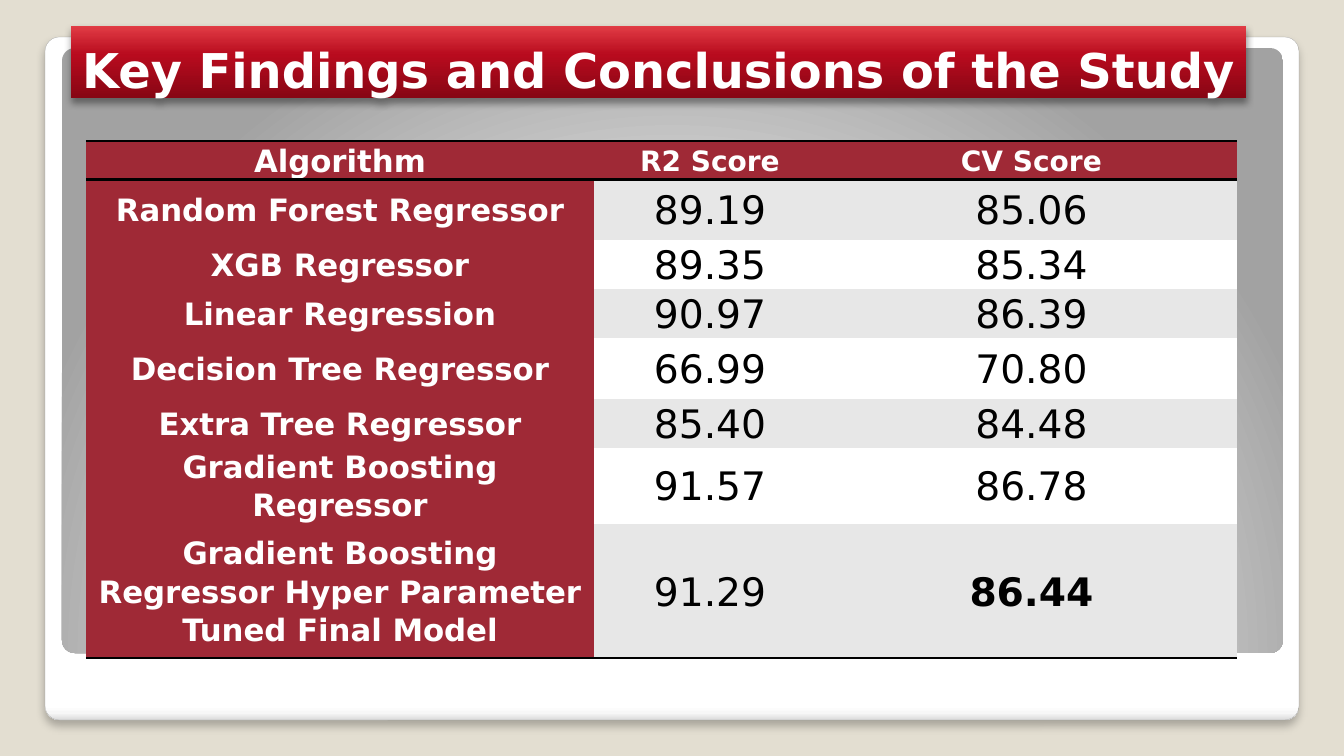
from lxml import etree
from pptx import Presentation
from pptx import util as u
from pptx.dml.color import RGBColor
from pptx.enum import shapes, text
from pptx.oxml.ns import qn

PX = 914400 / 100.8
FONT = "DejaVu Sans"
HUES = {
    "back": "E3DED1", "white": "FFFFFF", "black": "000000",
    "red": "9F2936", "band": "E7E7E7", "edge": "A4A4A4",
}
COLS = [508, 232, 411]
ROWS = [
    (36, "Algorithm", "R2 Score", "CV Score"),
    (61, "Random Forest Regressor", "89.19", "85.06"),
    (45, "XGB Regressor", "89.35", "85.34"),
    (45, "Linear Regression", "90.97", "86.39"),
    (61, "Decision Tree Regressor", "66.99", "70.80"),
    (45, "Extra Tree Regressor", "85.40", "84.48"),
    (45, "Gradient Boosting Regressor", "91.57", "86.78"),
    (134, "Gradient Boosting Regressor Hyper Parameter Tuned Final Model",
     "91.29", "86.44"),
]


def px(num):
    return u.Emu(round(num * PX))


def hue(name):
    return RGBColor.from_string(HUES[name])


def sub(node, tag, **attrs):
    """Add a drawing element below node."""
    return etree.SubElement(node, qn("a:" + tag),
                            {key: str(val) for key, val in attrs.items()})


def write(frame, words, size, color="white", bold=True, line=1.0, after=0):
    para = frame.paragraphs[0]
    para.alignment = text.PP_ALIGN.CENTER
    para.line_spacing = line
    para.space_before, para.space_after = u.Pt(0), u.Pt(after)
    run = para.add_run()
    run.text = words
    font = run.font
    font.name, font.size, font.bold = FONT, u.Pt(size), bold
    font.color.rgb = hue(color)


def blend(shape, stops, angle=None, focus=None):
    """Fill with a linear gradient at an angle, or a circular one at a focus."""
    shape.fill.gradient()
    grad = shape.element.spPr.find(qn("a:gradFill"))
    for child in list(grad):
        grad.remove(child)
    marks = sub(grad, "gsLst")
    for place, color in stops:
        sub(sub(marks, "gs", pos=place * 1000), "srgbClr", val=color)
    if focus:
        route = sub(grad, "path", path="circle")
        sub(route, "fillToRect",
            **{side: num * 1000 for side, num in zip("ltrb", focus)})
    else:
        sub(grad, "lin", ang=angle * 60000, scaled=0)


def shade(shape, alpha, blur, dist):
    """Drop a black shadow straight down."""
    shape.shadow.inherit = False
    glow = sub(shape.element.spPr.find(qn("a:effectLst")), "outerShdw",
               blurRad=u.Pt(blur), dist=u.Pt(dist), dir=90 * 60000,
               algn="ctr", rotWithShape=0)
    sub(sub(glow, "srgbClr", val=HUES["black"]), "alpha", val=alpha * 1000)


def panel(slide, left, top, wide, high):
    card = slide.shapes.add_shape(shapes.MSO_SHAPE.ROUNDED_RECTANGLE,
                                  px(left), px(top), px(wide), px(high))
    card.adjustments[0] = 0.021
    card.shadow.inherit = False
    card.line.fill.background()
    slide.shapes.title.element.addprevious(card.element)
    return card


def frame(slide, left, top, wide, high):
    """Draw the white card and the grey panel set into it."""
    card = panel(slide, left, top, wide, high)
    blend(card, [(0, "FFFFFF"), (98, "FFFFFF"), (99, "F7F7F7"),
                 (100, "DADADA")], angle=90)
    card.line.color.rgb = hue("edge")
    card.line.width = u.Pt(0.16)
    shade(card, 25, 6, 4)
    inner = panel(slide, left + 17, top + 11, wide - 33, high - 78)
    blend(inner, [(0, "FFFFFF"), (55, "E1E1E1"), (100, "A2A2A2")],
          focus=(50, 175, 50, -75))


def banner(slide, left, top, wide, high):
    title = slide.shapes.title
    title.left, title.top = px(left), px(top)
    title.width, title.height = px(wide), px(high)
    blend(title, [(0, "870614"), (60, "B80B1E"), (100, "E13C45")], angle=270)
    shade(title, 40, 5.2, 3)
    body = title.text_frame
    body.auto_size = text.MSO_AUTO_SIZE.NONE
    body.word_wrap = False
    body.vertical_anchor = text.MSO_ANCHOR.BOTTOM
    body.margin_left = body.margin_right = px(10)
    body.margin_top, body.margin_bottom = px(5), 0
    write(body, "Key Findings and Conclusions of the Study", 34.2)


def rule(cell, sides):
    for side in sides:
        line = sub(cell._tc.get_or_add_tcPr(), "ln" + side, w=u.Pt(2))
        sub(sub(line, "solidFill"), "srgbClr", val=HUES["black"])


def scores(slide, left, top):
    high = sum(row[0] for row in ROWS)
    grid = slide.shapes.add_table(len(ROWS), len(COLS), px(left), px(top),
                                  px(sum(COLS)), px(high)).table
    # Built-in table style without fills or grid lines
    style = grid._tbl.tblPr.find(qn("a:tableStyleId"))
    style.text = "{2D5ABB26-0587-4C30-8999-92F81FD0307C}"
    grid.horz_banding = False
    for col, wide in zip(grid.columns, COLS):
        col.width = px(wide)
    last = len(ROWS) - 1
    for i, (tall, *words) in enumerate(ROWS):
        grid.rows[i].height = px(tall)
        for j, word in enumerate(words):
            cell = grid.cell(i, j)
            head = i == 0 or j == 0
            final = i == last and j == 2
            rule(cell, "TB" if i == 0 else "B" if i == last else "")
            cell.fill.solid()
            cell.fill.fore_color.rgb = hue(
                "red" if head else "band" if i % 2 else "white")
            cell.vertical_anchor = text.MSO_ANCHOR.MIDDLE
            cell.margin_left = cell.margin_right = px(7)
            cell.margin_top = cell.margin_bottom = 0
            size = 22 if j == 0 else 20 if i == 0 else 28
            write(cell.text_frame, word, size, "white" if head else "black",
                  bold=head or final, line=1.07, after=8)


def main():
    deck = Presentation()
    deck.slide_width, deck.slide_height = px(1344), px(756)
    slide = deck.slides.add_slide(deck.slide_layouts[5])
    slide.background.fill.solid()
    slide.background.fill.fore_color.rgb = hue("back")
    frame(slide, 45, 37, 1254, 683)
    banner(slide, 71, 26, 1175, 72)
    scores(slide, 86, 141)
    deck.save("out.pptx")


if __name__ == "__main__":
    main()
